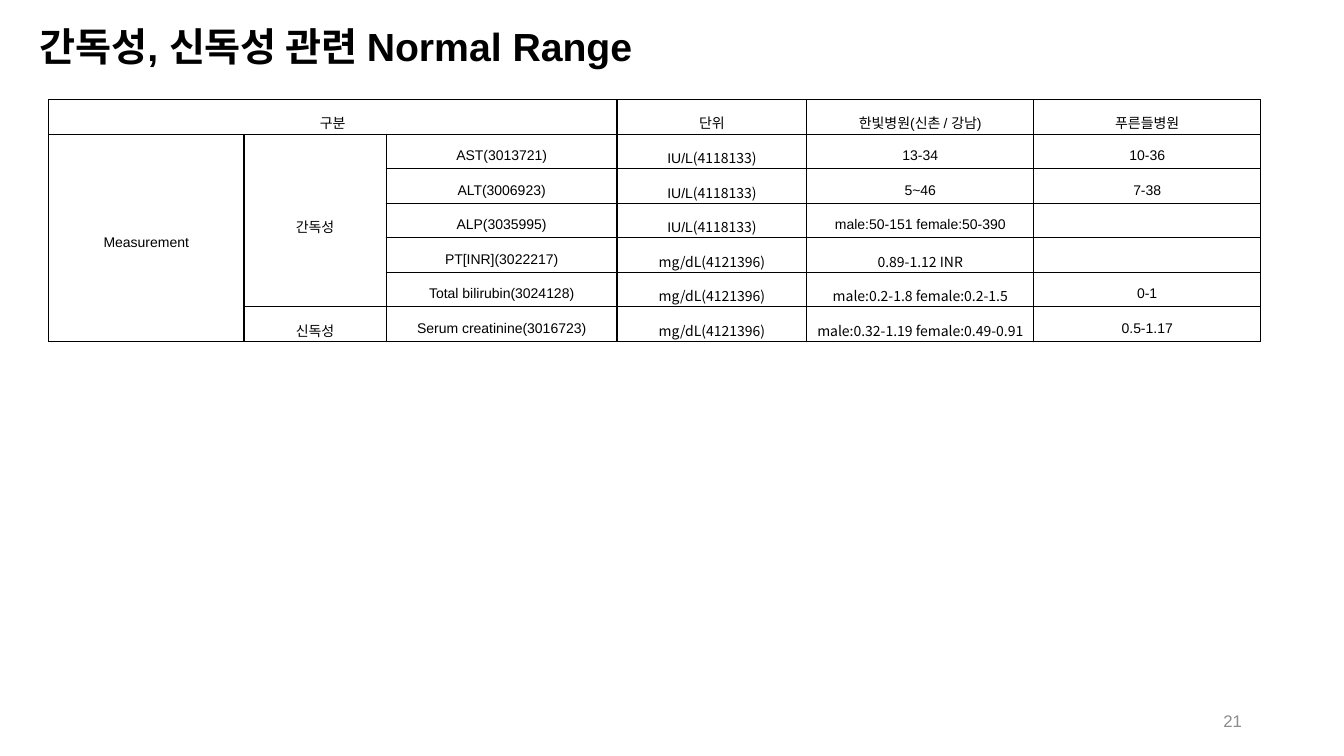
from pptx import Presentation
from pptx.dml.color import RGBColor
from pptx.enum.text import MSO_ANCHOR, PP_ALIGN
from pptx.oxml.ns import qn
from pptx.util import Cm, Pt
from lxml.etree import SubElement

BLACK = RGBColor(0x00, 0x00, 0x00)
GRAY = RGBColor(0x8C, 0x8C, 0x8C)
LATIN = "Arial"
KOREAN = "Noto Sans CJK KR"

COLUMN_WIDTHS = [4.93, 3.58, 5.82, 4.78, 5.72, 5.72]
ROW_HEIGHT = 0.87
# Text after a bar is set in the Korean font.
NORMAL_RANGES = [
    ["구분", "", "", "단위", "한빛병원(신촌 / 강남)", "푸른들병원"],
    ["Measurement", "간독성", "AST(3013721)", "IU/L|(4118133)", "13-34", "10-36"],
    ["", "", "ALT(3006923)", "IU/L|(4118133)", "5~46", "7-38"],
    ["", "", "ALP(3035995)", "IU/L|(4118133)", "male:50-151 female:50-390", ""],
    ["", "", "PT[INR](3022217)", "|mg/dL(4121396)", "|0.89-1.12 INR", ""],
    ["", "", "Total bilirubin(3024128)", "|mg/dL(4121396)",
     "|male:0.2-1.8 female:0.2-1.5", "0-1"],
    ["", "신독성", "Serum creatinine(3016723)", "|mg/dL(4121396)",
     "|male:0.32-1.19 female:0.49-0.91", "0.5-1.17"],
]
MERGES = [((0, 0), (0, 2)), ((1, 0), (6, 0)), ((1, 1), (5, 1))]


def set_all(target, values):
    for name, value in values.items():
        setattr(target, name, value)


class RangeSlide:
    title_font = {"size": Pt(28), "bold": True}
    number_font = {"size": Pt(12)}
    cell_font = {"size": Pt(10), "bold": False}
    cell_format = {"vertical_anchor": MSO_ANCHOR.MIDDLE,
                   "margin_left": Cm(0.03), "margin_right": Cm(0.03),
                   "margin_top": Cm(0.03), "margin_bottom": Cm(0.03)}
    cell_paragraph = {"alignment": PP_ALIGN.CENTER, "line_spacing": 1.6}

    def __init__(self, presentation):
        self.slide = presentation.slides.add_slide(presentation.slide_layouts[6])

    def add_run(self, paragraph, words, font, color=BLACK, typeface=LATIN):
        run = paragraph.add_run()
        run.text = words
        set_all(run.font, {"name": typeface, **font})
        run.font.color.rgb = color
        SubElement(run.font._element, qn("a:ea"), typeface=KOREAN)

    def text(self, words, left, top, width, height, font, paragraph_format, color=BLACK):
        frame = self.slide.shapes.add_textbox(
            Cm(left), Cm(top), Cm(width), Cm(height)).text_frame
        set_all(frame, {"word_wrap": True, "vertical_anchor": MSO_ANCHOR.MIDDLE})
        paragraph = frame.paragraphs[0]
        set_all(paragraph, paragraph_format)
        self.add_run(paragraph, words, font, color)

    def draw_borders(self, cell):
        properties = cell._tc.get_or_add_tcPr()
        for side in ("a:lnL", "a:lnR", "a:lnT", "a:lnB"):
            line = SubElement(properties, qn(side), w=str(Pt(1)))
            fill = SubElement(line, qn("a:solidFill"))
            SubElement(fill, qn("a:srgbClr"), val=str(BLACK))

    def fill_cell(self, cell, words):
        set_all(cell, self.cell_format)
        self.draw_borders(cell)
        cell.fill.background()
        paragraph = cell.text_frame.paragraphs[0]
        set_all(paragraph, self.cell_paragraph)
        set_all(paragraph.font, self.cell_font)
        for part, typeface in zip(words.split("|"), (LATIN, KOREAN)):
            if part:
                self.add_run(paragraph, part, self.cell_font, typeface=typeface)

    def table(self, rows, widths, row_height, merges, left, top):
        table = self.slide.shapes.add_table(
            len(rows), len(widths), Cm(left), Cm(top),
            Cm(sum(widths)), Cm(row_height * len(rows))).table
        set_all(table, {"first_row": False, "horz_banding": False})
        for column, width in zip(table.columns, widths):
            column.width = Cm(width)
        for row, entries in zip(table.rows, rows):
            row.height = Cm(row_height)
            for cell, words in zip(row.cells, entries):
                self.fill_cell(cell, words)
        for first, last in merges:
            table.cell(*first).merge(table.cell(*last))


def main():
    presentation = Presentation()
    set_all(presentation, {"slide_width": Cm(33.87), "slide_height": Cm(19.05)})
    page = RangeSlide(presentation)
    page.text("간독성, 신독성 관련 Normal Range", 0.74, 0.51, 29.21, 1.45,
              page.title_font, {"line_spacing": 0.9})
    page.text("21", 23.93, 17.65, 7.62, 1.02, page.number_font,
              {"alignment": PP_ALIGN.RIGHT}, GRAY)
    page.table(NORMAL_RANGES, COLUMN_WIDTHS, ROW_HEIGHT, MERGES, 1.22, 2.51)
    presentation.save("out.pptx")


if __name__ == "__main__":
    main()
